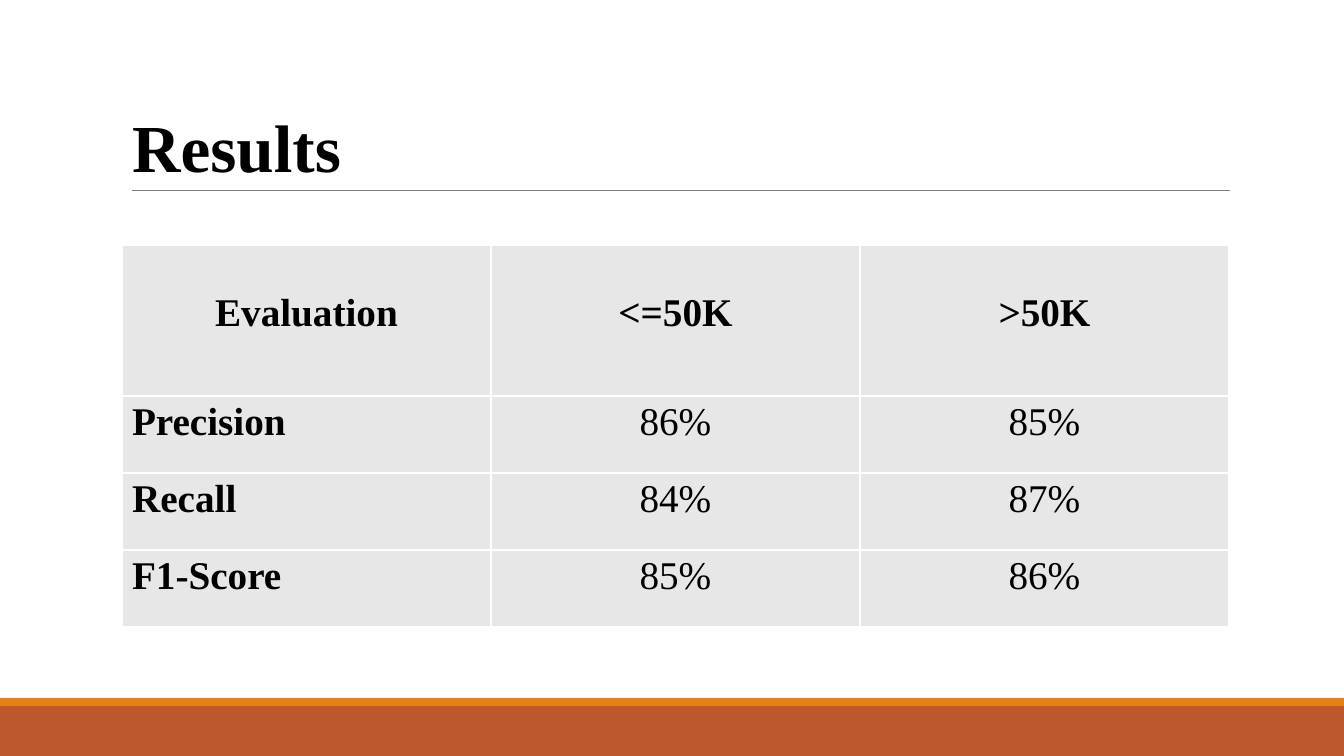
from lxml import etree
from pptx import Presentation, util as u
from pptx.dml.color import RGBColor
from pptx.enum import shapes, text
from pptx.oxml import ns

EMU_PER_PX = 914400 / 100.8
FONT = "Times New Roman"
COLORS = {
    "ink": "000000",
    "rule": "7F7F7F",
    "cell": "E7E7E7",
    "border": "FFFFFF",
    "orange": "E48312",
    "rust": "BD582C",
}


def px(length):
    return u.Emu(round(length * EMU_PER_PX))


def style(paragraph, size, bold, align):
    paragraph.alignment = align
    paragraph.font.name = FONT
    paragraph.font.size = u.Pt(size)
    paragraph.font.bold = bold
    paragraph.font.color.rgb = RGBColor.from_string(COLORS["ink"])


deck = Presentation()
deck.slide_width, deck.slide_height = px(1344), px(756)
slide = deck.slides.add_slide(deck.slide_layouts[5])

# Footer bands
for top, height, color in [(706, 50, "rust"), (698, 8, "orange")]:
    band = slide.shapes.add_shape(
        shapes.MSO_SHAPE.RECTANGLE, 0, px(top), px(1344), px(height))
    band.shadow.inherit = False
    band.fill.solid()
    band.fill.fore_color.rgb = RGBColor.from_string(COLORS[color])
    band.line.fill.background()

# Rule under the title
rule = slide.shapes.add_connector(
    shapes.MSO_CONNECTOR.STRAIGHT, px(132), px(191), px(1230), px(191))
rule.line.color.rgb = RGBColor.from_string(COLORS["rule"])
rule.line.width = u.Pt(0.75)
etree.SubElement(rule._element.spPr, ns.qn("a:effectLst"))

# Title
title = slide.shapes.title
title.left, title.top, title.width, title.height = px(122), px(31), px(1109), px(160)
title.text_frame.text = "Results"
title.text_frame.auto_size = text.MSO_AUTO_SIZE.NONE
title.text_frame.vertical_anchor = text.MSO_ANCHOR.BOTTOM
heading = title.text_frame.paragraphs[0]
style(heading, 48, True, text.PP_ALIGN.LEFT)
heading.line_spacing = 0.85

# Results table
scores = [
    ("Evaluation", "<=50K", ">50K"),
    ("Precision", "86%", "85%"),
    ("Recall", "84%", "87%"),
    ("F1-Score", "85%", "86%"),
]
row_heights = [151, 77, 77, 77]
column_width = 369
table = slide.shapes.add_table(
    len(scores), 3, px(122), px(245), px(3 * column_width), px(sum(row_heights))).table
for column in table.columns:
    column.width = px(column_width)

for r, row in enumerate(scores):
    table.rows[r].height = px(row_heights[r])
    for c, value in enumerate(row):
        cell = table.cell(r, c)
        cell.text = value
        is_header, is_label = r == 0, c == 0
        cell.margin_top = px(47 if is_header else 5)
        align = text.PP_ALIGN.LEFT if is_label and not is_header else text.PP_ALIGN.CENTER
        style(cell.text_frame.paragraphs[0], 28, is_header or is_label, align)

        # Borders come before the fill in the cell properties
        properties = cell._tc.get_or_add_tcPr()
        for side in ("lnL", "lnR", "lnT", "lnB"):
            border = etree.SubElement(properties, ns.qn(f"a:{side}"), w=str(u.Pt(1)))
            paint = etree.SubElement(border, ns.qn("a:solidFill"))
            etree.SubElement(paint, ns.qn("a:srgbClr"), val=COLORS["border"])
        cell.fill.solid()
        cell.fill.fore_color.rgb = RGBColor.from_string(COLORS["cell"])

deck.save("out.pptx")
